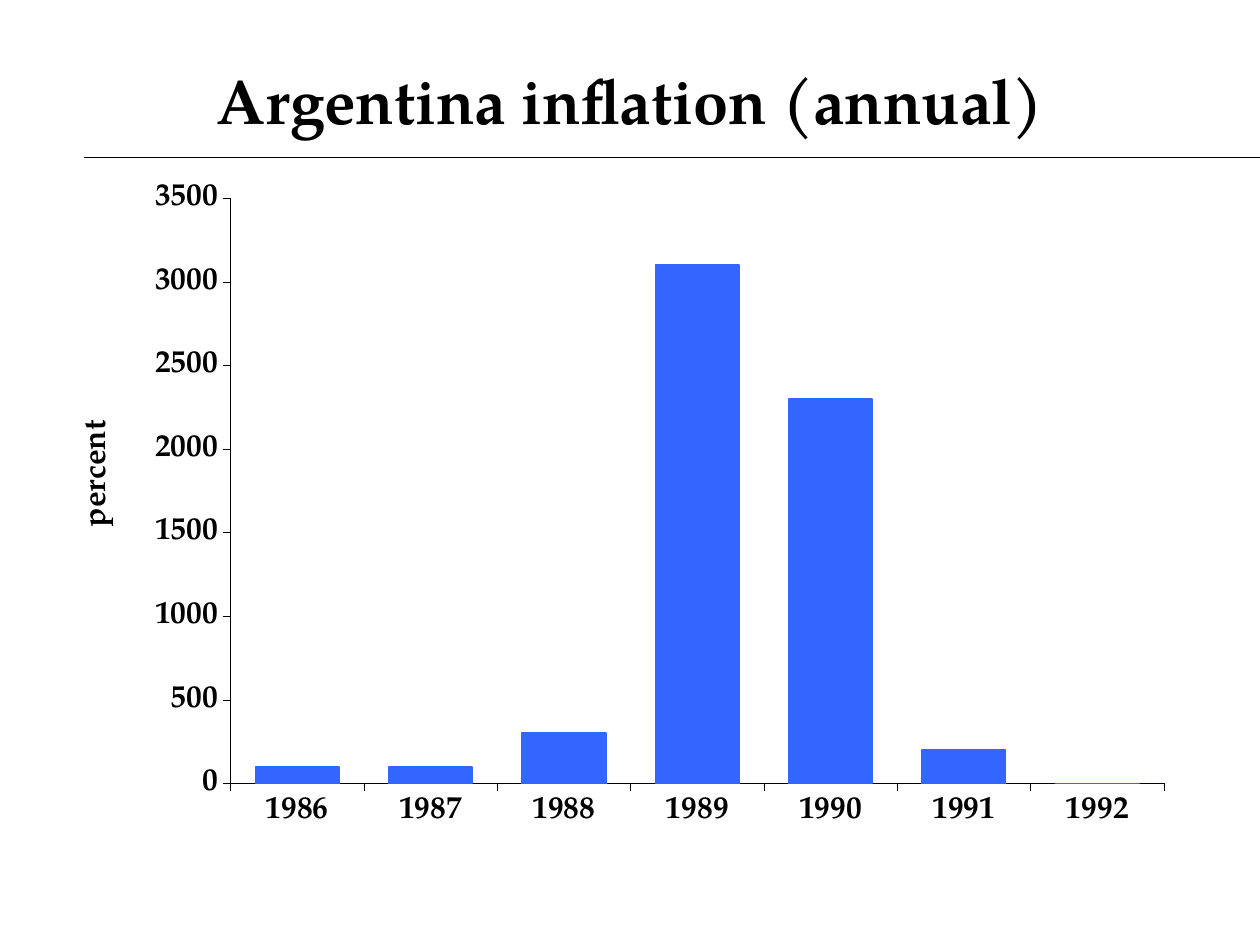
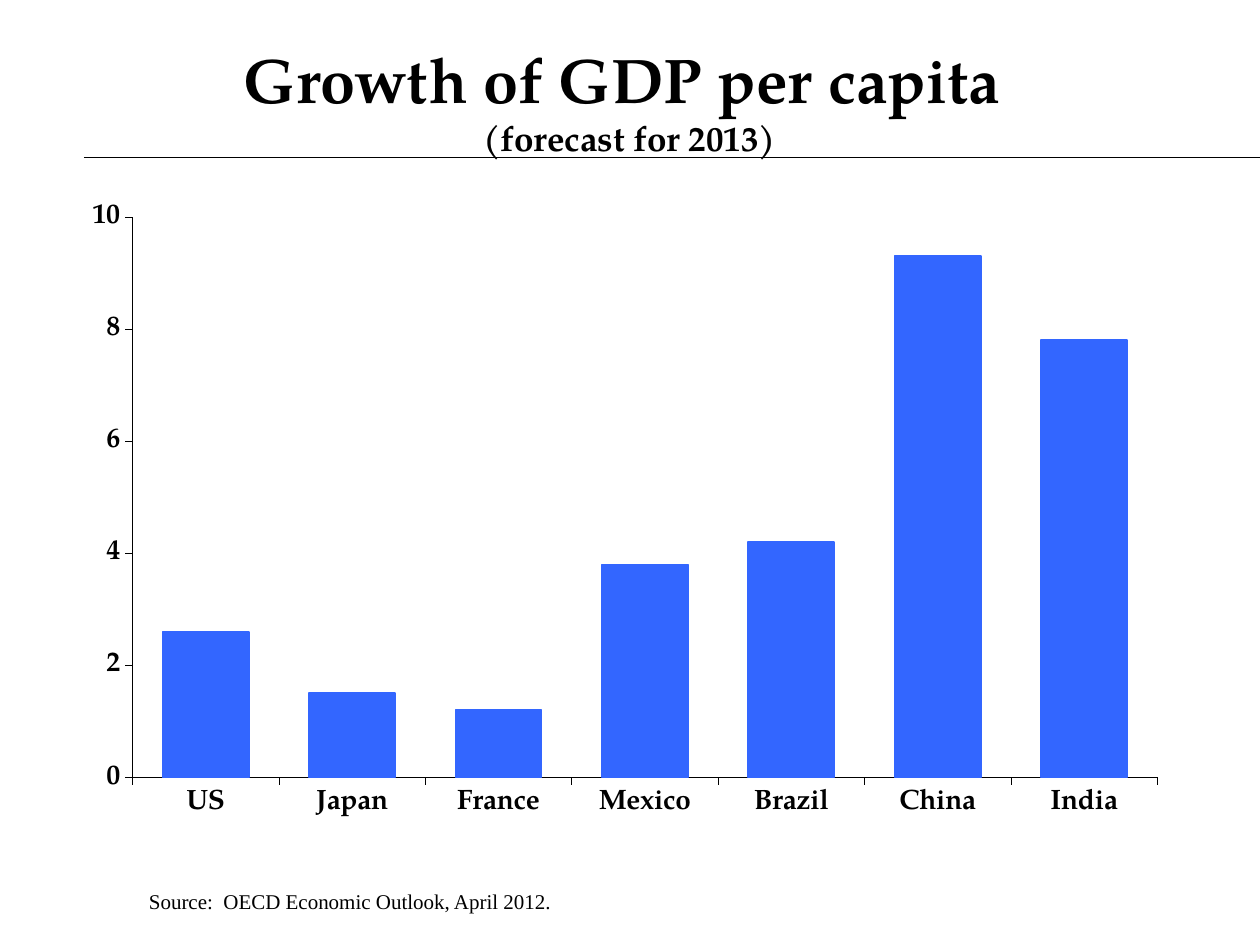
from lxml.etree import SubElement
from pptx import Presentation
from pptx.chart.data import CategoryChartData
from pptx.dml.color import RGBColor
from pptx.enum.chart import XL_CHART_TYPE, XL_TICK_MARK
from pptx.enum.shapes import MSO_CONNECTOR
from pptx.enum.text import MSO_ANCHOR, PP_ALIGN
from pptx.oxml.ns import qn
from pptx.util import Pt

BLACK = RGBColor(0x00, 0x00, 0x00)
BLUE = RGBColor(0x33, 0x66, 0xFF)
HEAD_FONT = "TeX Gyre Pagella"
CHART_FONT = "Arial"
NOTE_FONT = "Times New Roman"


def style_font(font, size, name=HEAD_FONT, bold=True):
    font.size, font.name, font.bold = Pt(size), name, bold
    font.color.rgb = BLACK


def write(paragraph, text, size, align=PP_ALIGN.LEFT, **font_format):
    """Add one formatted run to a paragraph."""
    paragraph.alignment = align
    run = paragraph.add_run()
    run.text = text
    style_font(run.font, size, **font_format)


def set_layout(parent, **places):
    """Give a chart part a fixed place, in shares of the chart area."""
    layout = parent.find(qn("c:layout"))
    if layout is None:
        layout = parent.makeelement(qn("c:layout"))
        parent.insert(0, layout)
    manual = SubElement(layout, qn("c:manualLayout"))
    for tag, value in places.items():
        SubElement(manual, qn(f"c:{tag}")).set("val", str(value))


class Deck:
    def __init__(self):
        self.prs = Presentation()
        self.prs.slide_width, self.prs.slide_height = Pt(720), Pt(540)
        self.slide = None

    def text_box(self, left, top, width, height, anchor=MSO_ANCHOR.TOP):
        box = self.slide.shapes.add_textbox(Pt(left), Pt(top), Pt(width), Pt(height))
        frame = box.text_frame
        frame.word_wrap = True
        frame.vertical_anchor = anchor
        return frame.paragraphs[0]

    def rule(self):
        line = self.slide.shapes.add_connector(
            MSO_CONNECTOR.STRAIGHT, Pt(48), Pt(90), Pt(720), Pt(90))
        line.line.color.rgb = BLACK
        line.line.width = Pt(0.75)
        SubElement(line._element.spPr, qn("a:effectLst"))

    def new_slide(self, title, subtitle=None):
        self.slide = self.prs.slides.add_slide(self.prs.slide_layouts[6])
        self.rule()
        heading = self.text_box(36, 24, 648, 66, MSO_ANCHOR.MIDDLE)
        write(heading, title, 36, PP_ALIGN.CENTER)
        if subtitle:
            heading.add_line_break()
            write(heading, subtitle, 20, PP_ALIGN.CENTER)

    def column_chart(self, place, values, plot, size, gap, top, step):
        """Draw a column chart; plot is the inner area in points from the chart's corner."""
        data = CategoryChartData()
        data.categories = list(values)
        data.add_series("Series 1", list(values.values()))
        chart = self.slide.shapes.add_chart(
            XL_CHART_TYPE.COLUMN_CLUSTERED, *map(Pt, place), data).chart
        chart.has_title = chart.has_legend = False
        style_font(chart.font, 18, CHART_FONT)
        x, y, w, h = plot
        width, height = place[2:]
        set_layout(chart._chartSpace.chart.plotArea, layoutTarget="inner",
                   xMode="edge", yMode="edge",
                   x=x / width, y=y / height, w=w / width, h=h / height)

        # Columns
        columns = chart.plots[0]
        columns.gap_width = gap
        columns.vary_by_categories = False
        bars = columns.series[0].format
        bars.fill.solid()
        bars.fill.fore_color.rgb = BLUE
        bars.line.color.rgb = BLUE
        bars.line.width = Pt(1)

        # Axes
        for axis in (chart.category_axis, chart.value_axis):
            axis.has_major_gridlines = False
            axis.major_tick_mark = XL_TICK_MARK.OUTSIDE
            axis.minor_tick_mark = XL_TICK_MARK.NONE
            axis.format.line.color.rgb = BLACK
            axis.format.line.width = Pt(0.25)
            style_font(axis.tick_labels.font, size)
        scale = chart.value_axis
        scale.minimum_scale, scale.maximum_scale, scale.major_unit = 0, top, step
        scale.tick_labels.number_format = "0"
        scale.tick_labels.number_format_is_linked = False
        return chart

    def axis_title(self, axis, text, size, x, y):
        title = axis.axis_title
        frame = title.text_frame
        write(frame.paragraphs[0], text, size, PP_ALIGN.CENTER)
        turned = frame._txBody.find(qn("a:bodyPr"))
        turned.set("rot", "-5400000")
        turned.set("vert", "horz")
        set_layout(title._element, xMode="edge", yMode="edge", x=x, y=y)

    def source_note(self, text):
        write(self.text_box(78, 504, 516, 21.6), text, 12, name=NOTE_FONT, bold=False)


def main():
    deck = Deck()

    # Inflation by year
    deck.new_slide("Argentina inflation (annual)")
    inflation = {"1986": 100, "1987": 100, "1988": 300, "1989": 3100,
                 "1990": 2300, "1991": 200, "1992": 0}
    width, height = 638, 426
    inflation_chart = deck.column_chart(
        (33.6, 84, width, height), inflation, (98.2, 29.4, 533.4, 334.4),
        size=18, gap=60, top=3500, step=500)
    deck.axis_title(inflation_chart.value_axis, "percent", 18,
                    x=8.4 / width, y=153 / height)

    # Growth by country
    deck.new_slide("Growth of GDP per capita ", "(forecast for 2013)")
    growth = {"US": 2.6, "Japan": 1.5, "France": 1.2, "Mexico": 3.8,
              "Brazil": 4.2, "China": 9.3, "India": 7.8}
    deck.column_chart((29.8, 95.8, 638, 408), growth, (45.9, 28.2, 585.7, 320.3),
                      size=16, gap=70, top=10, step=2)
    deck.source_note("Source:  OECD Economic Outlook, April 2012.")

    deck.prs.save("out.pptx")


if __name__ == "__main__":
    main()
